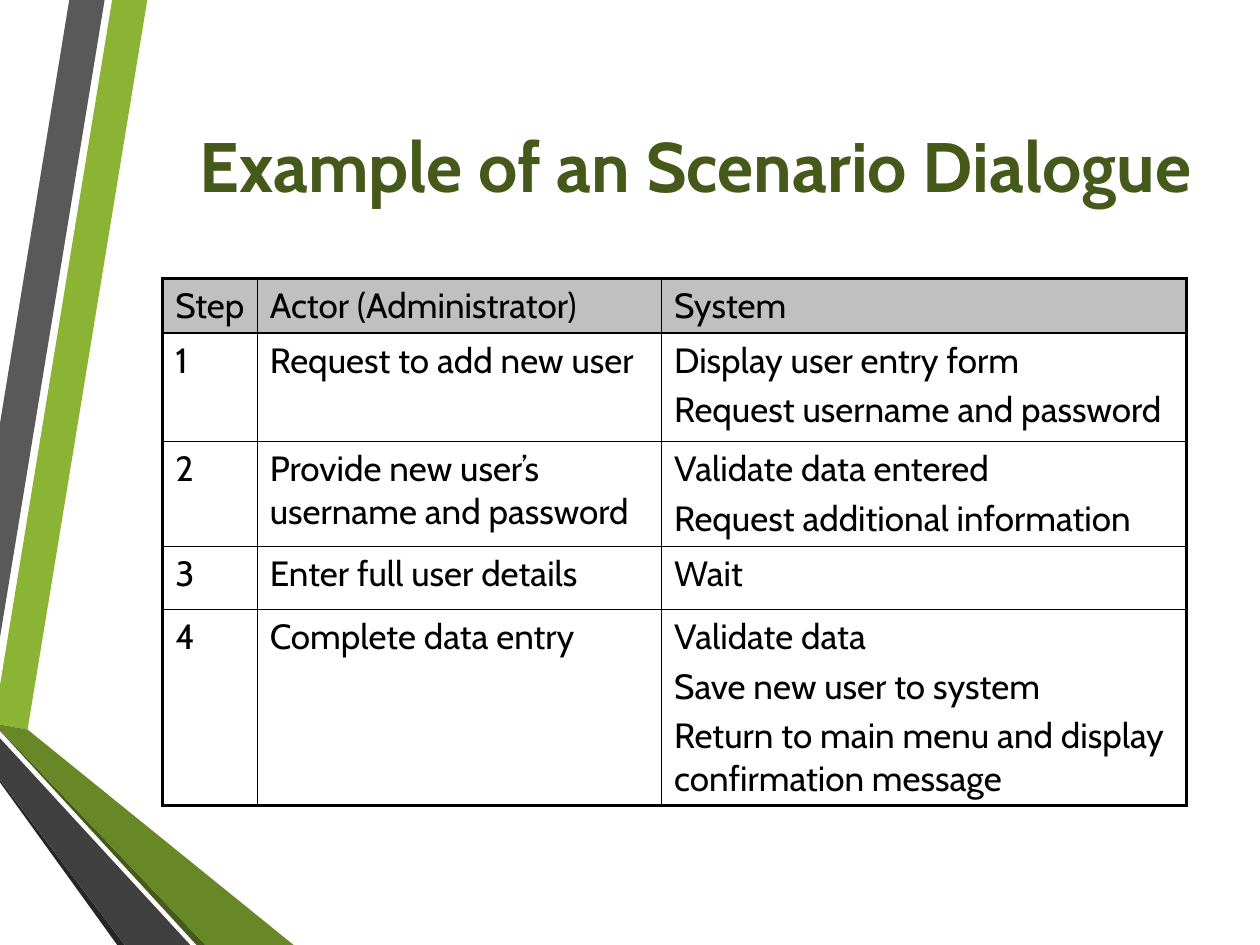
from lxml.etree import SubElement
from pptx import Presentation
from pptx.dml.color import RGBColor
from pptx.enum.text import MSO_ANCHOR, PP_ALIGN
from pptx.oxml.ns import qn
from pptx.util import Pt

FONT = "Cabin"
COLORS = {
    "lime": "8BB434",
    "gray": "595959",
    "dark edge": "262626",
    "green edge": "465A1A",
    "green": "688727",
    "charcoal": "404040",
    "title": "455A1A",
    "header": "C0C0C0",
    "white": "FFFFFF",
    "black": "000000",
}
RIBBONS = [
    ("lime", [(0, 391.7), (0, 414), (15.8, 416.9), (84.2, 0), (64.1, 0)]),
    ("gray", [(59.8, 0), (39.6, 0), (0, 242), (0, 364.3)]),
    ("dark edge", [(0, 445.7), (0, 447.1), (67, 540), (71.3, 540)]),
    ("green edge", [(0, 416.9), (0, 417.6), (112.3, 540), (117.4, 540)]),
    ("green", [(0, 416.9), (117.4, 540), (167.8, 540), (15.8, 416.9), (0, 414)]),
    ("charcoal", [(0, 445.7), (71.3, 540), (108.7, 540), (0, 421.9)]),
]
COLUMN_WIDTHS = [54, 231, 300]
ROW_HEIGHTS = [30.5, 62, 60, 36, 112]
DIALOGUE = [
    ("Step", "Actor (Administrator)", "System"),
    ("1", "Request to add new user",
     "Display user entry form\nRequest username and password"),
    ("2", "Provide new user’s username and password",
     "Validate data entered\nRequest additional information"),
    ("3", "Enter full user details", "Wait"),
    ("4", "Complete data entry",
     "Validate data\nSave new user to system\n"
     "Return to main menu and display confirmation message"),
]


def rgb(name):
    return RGBColor.from_string(COLORS[name])


def style_font(paragraph, size, color, bold=False):
    font = paragraph.font
    font.name, font.size, font.bold = FONT, Pt(size), bold
    font.color.rgb = rgb(color)


def add_ribbon(slide, color, corners):
    start, *others = [(Pt(x), Pt(y)) for x, y in corners]
    outline = slide.shapes.build_freeform(*start)
    outline.add_line_segments(others, close=True)
    ribbon = outline.convert_to_shape()
    ribbon.shadow.inherit = False
    ribbon.fill.solid()
    ribbon.fill.fore_color.rgb = rgb(color)
    ribbon.line.fill.background()


def add_title(slide, text):
    title = slide.shapes.add_textbox(Pt(90.7), Pt(49), Pt(613.4), Pt(90))
    frame = title.text_frame
    frame.word_wrap = True
    frame.vertical_anchor = MSO_ANCHOR.MIDDLE
    frame.text = text
    heading = frame.paragraphs[0]
    heading.alignment = PP_ALIGN.CENTER
    style_font(heading, 40, "title", bold=True)


def set_borders(cell, outer_sides):
    properties = cell._tc.get_or_add_tcPr()
    for side in "LRTB":
        width = Pt(2.25 if side in outer_sides else 1)
        border = SubElement(properties, qn(f"a:ln{side}"), w=str(width))
        fill = SubElement(border, qn("a:solidFill"))
        SubElement(fill, qn("a:srgbClr"), val=COLORS["black"])


def fill_cell(cell, text, color):
    cell.fill.solid()
    cell.fill.fore_color.rgb = rgb(color)
    cell.text = text
    for paragraph in cell.text_frame.paragraphs:
        paragraph.space_before = Pt(4)
        style_font(paragraph, 20, "black")


def add_dialogue(slide):
    last_row, last_column = len(ROW_HEIGHTS) - 1, len(COLUMN_WIDTHS) - 1
    table = slide.shapes.add_table(
        len(ROW_HEIGHTS), len(COLUMN_WIDTHS), Pt(93), Pt(159),
        Pt(sum(COLUMN_WIDTHS)), Pt(sum(ROW_HEIGHTS))).table
    table.first_row = table.horz_banding = False
    for column, width in zip(table.columns, COLUMN_WIDTHS):
        column.width = Pt(width)
    for row, height in zip(table.rows, ROW_HEIGHTS):
        row.height = Pt(height)
    for r, step in enumerate(DIALOGUE):
        for c, text in enumerate(step):
            edges = {"L": c == 0, "R": c == last_column,
                     "T": r == 0, "B": r == last_row}
            cell = table.cell(r, c)
            set_borders(cell, [side for side in edges if edges[side]])
            fill_cell(cell, text, "white" if r else "header")


def main():
    presentation = Presentation()
    presentation.slide_width, presentation.slide_height = Pt(720), Pt(540)
    slide = presentation.slides.add_slide(presentation.slide_layouts[6])
    for color, corners in RIBBONS:
        add_ribbon(slide, color, corners)
    add_title(slide, "Example of an Scenario Dialogue")
    add_dialogue(slide)
    presentation.save("out.pptx")


if __name__ == "__main__":
    main()
